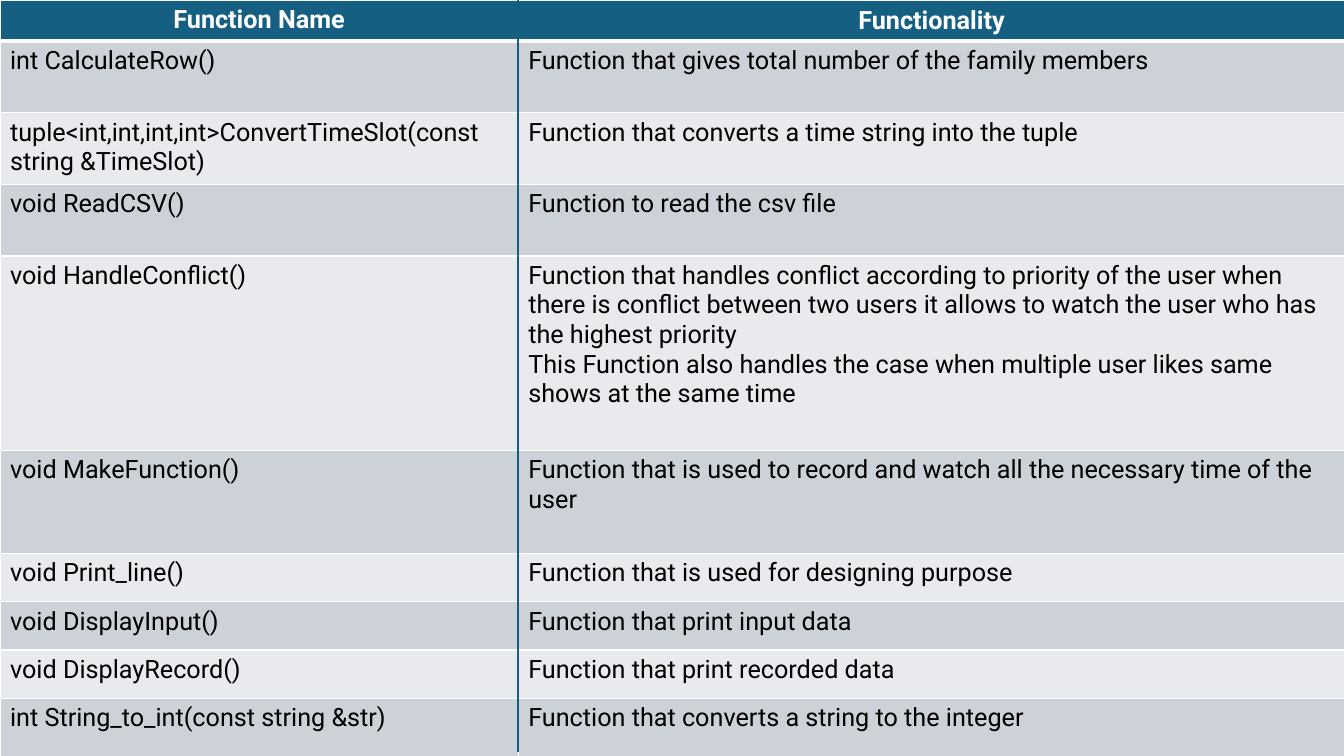
from lxml.etree import SubElement
from pptx import Presentation
from pptx.dml.color import RGBColor
from pptx.enum.shapes import MSO_CONNECTOR as Connector
from pptx.enum.text import MSO_ANCHOR as Anchor, PP_ALIGN as Align
from pptx.oxml.ns import qn
from pptx.util import Inches, Pt


def color(value):
    return RGBColor.from_string(value)


def add_border(cell, side, value, points):
    line = SubElement(cell._tc.get_or_add_tcPr(), qn(f"a:ln{side}"), w=str(Pt(points)))
    fill = SubElement(line, qn("a:solidFill"))
    SubElement(fill, qn("a:srgbClr"), val=value)


ROWS = [
    (0.41, "Function Name", "Functionality"),
    (0.71, "int CalculateRow()", "Function that gives total number of the family members"),
    (0.71, "tuple<int,int,int,int>ConvertTimeSlot(const string &TimeSlot)",
     "Function that converts a time string into the tuple"),
    (0.71, "void ReadCSV()", "Function to read the csv file"),
    (1.93, "void HandleConflict()",
     "Function that handles conflict according to priority of the user when there is conflict "
     "between two users it allows to watch the user who has the highest priority\n"
     "This Function also handles the case when multiple user likes same shows at the same time"),
    (1.02, "void MakeFunction()",
     "Function that is used to record and watch all the necessary time of the user"),
    (0.48, "void Print_line()", "Function that is used for designing purpose"),
    (0.48, "void DisplayInput()", "Function that print input data"),
    (0.48, "void DisplayRecord()", "Function that print recorded data"),
    (0.66, "int String_to_int(const string &str)",
     "Function that converts a string to the integer"),
]
COLUMN_WIDTHS = [5.14, 8.2]
HEADER_FILL = "156082"
BAND_FILLS = ["E8EAED", "CCD2D8"]

deck = Presentation()
deck.slide_width = Inches(13.33)
deck.slide_height = Inches(7.5)
page = deck.slides.add_slide(deck.slide_layouts[6])

table_height = sum(row[0] for row in ROWS)
table = page.shapes.add_table(
    len(ROWS), 2, 0, 0, Inches(sum(COLUMN_WIDTHS)), Inches(table_height)
).table
for column, width in zip(table.columns, COLUMN_WIDTHS):
    column.width = Inches(width)

for row_index, (height, *texts) in enumerate(ROWS):
    table.rows[row_index].height = Inches(height)
    is_header = row_index == 0
    is_last = row_index == len(ROWS) - 1
    for column_index, text in enumerate(texts):
        cell = table.cell(row_index, column_index)
        for side in "LRT":
            add_border(cell, side, "FFFFFF", 3 if side == "T" and row_index == 1 else 1)
        add_border(cell, "B", "000000" if is_last else "FFFFFF", 3 if is_header else 1)
        cell.fill.solid()
        cell.fill.fore_color.rgb = color(HEADER_FILL if is_header else BAND_FILLS[row_index % 2])
        cell.text_frame.text = text
        for para in cell.text_frame.paragraphs:
            if is_header:
                para.alignment = Align.CENTER
            for span in para.runs:
                span.font.name = "Roboto"
                span.font.size = Pt(18)
                span.font.bold = is_header
                span.font.color.rgb = color("FFFFFF" if is_header else "000000")
table.cell(0, 1).vertical_anchor = Anchor.MIDDLE

divider_x = Inches(COLUMN_WIDTHS[0])
divider = page.shapes.add_connector(Connector.STRAIGHT, divider_x, 0, divider_x, Inches(7.46))
divider.line.color.rgb = color(HEADER_FILL)
divider.line.width = Pt(1.5)
SubElement(divider._element.spPr, qn("a:effectLst"))

deck.save("out.pptx")
